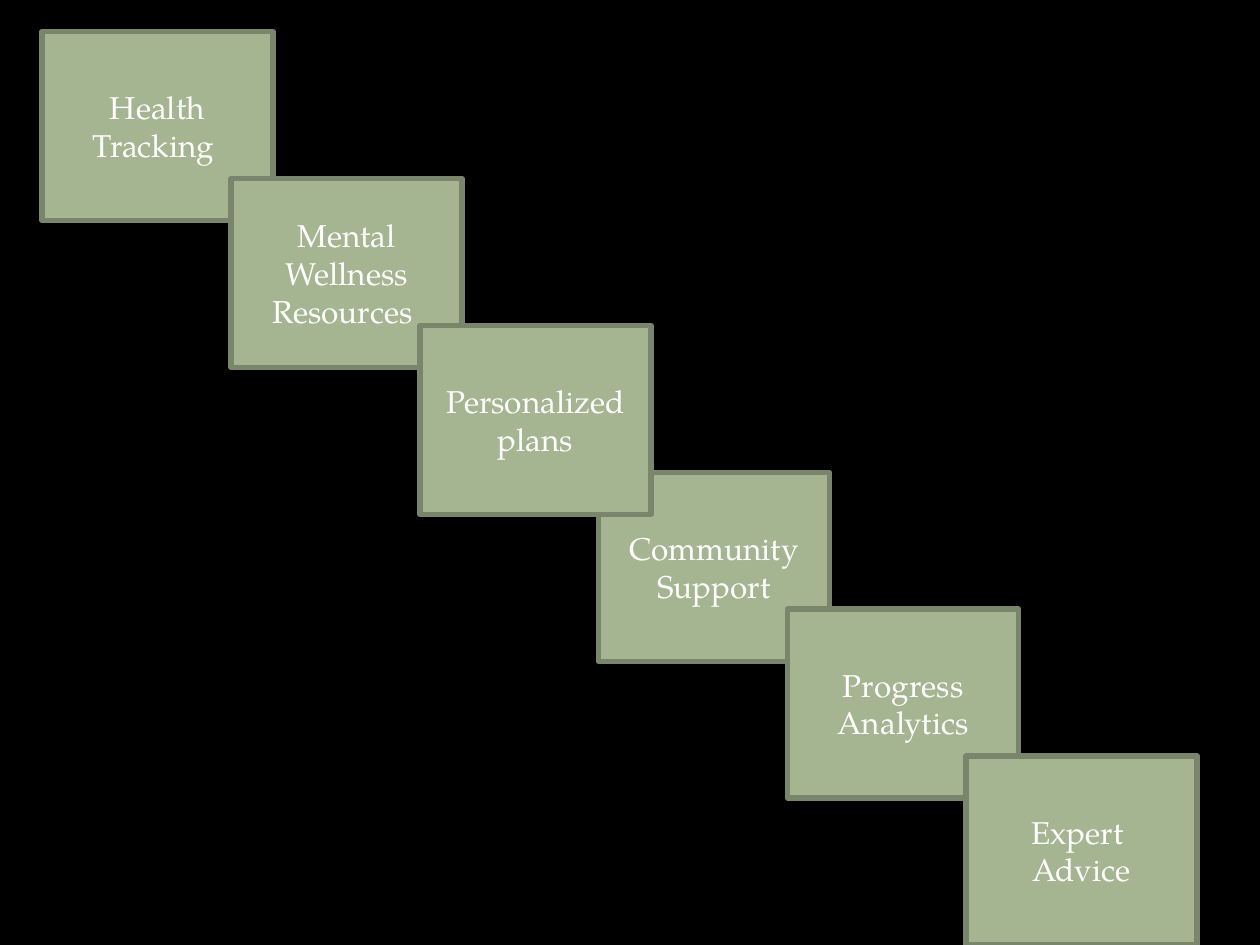
from pptx import Presentation
from pptx.dml.color import RGBColor
from pptx.enum.shapes import MSO_SHAPE
from pptx.enum.text import MSO_ANCHOR, PP_ALIGN
from pptx.util import Inches, Pt

RECT = MSO_SHAPE.RECTANGLE
MIDDLE = MSO_ANCHOR.MIDDLE
CENTER = PP_ALIGN.CENTER
BLACK = RGBColor(0x00, 0x00, 0x00)
SAGE = RGBColor(0xA5, 0xB5, 0x92)
MOSS = RGBColor(0x7A, 0x86, 0x6C)
WHITE = RGBColor(0xFF, 0xFF, 0xFF)
FONT = "TeX Gyre Pagella"
CELL = Inches(1) // 12
COLS, ROWS = 120, 90
WIDE, HIGH = 22, 18
STEPS = [
    (4, 3, "Health\nTracking "),
    (57, 45, "Community\nSupport"),
    (22, 17, "Mental Wellness Resources "),
    (75, 58, "Progress\nAnalytics"),
    (40, 31, "Personalized\nplans"),
    (92, 72, "Expert \nAdvice"),
]


def add_step(slide, col, row, text):
    """Add one framed box with centred text at a grid column and row."""
    box = slide.shapes.add_shape(
        RECT, col * CELL, row * CELL, WIDE * CELL, HIGH * CELL)
    box.shadow.inherit = False
    box.fill.solid()
    box.fill.fore_color.rgb = SAGE
    box.line.color.rgb = MOSS
    box.line.width = Pt(3)
    frame = box.text_frame
    frame.text = text
    frame.word_wrap = True
    frame.vertical_anchor = MIDDLE
    for para in frame.paragraphs:
        para.alignment = CENTER
        para.font.name = FONT
        para.font.size = Pt(18)
        para.font.color.rgb = WHITE


def main():
    """Build the staircase of features and save it."""
    deck = Presentation()
    deck.slide_width = COLS * CELL
    deck.slide_height = ROWS * CELL
    slide = deck.slides.add_slide(deck.slide_layouts[6])
    fill = slide.background.fill
    fill.solid()
    fill.fore_color.rgb = BLACK
    for col, row, text in STEPS:
        add_step(slide, col, row, text)
    deck.save("out.pptx")


if __name__ == "__main__":
    main()
